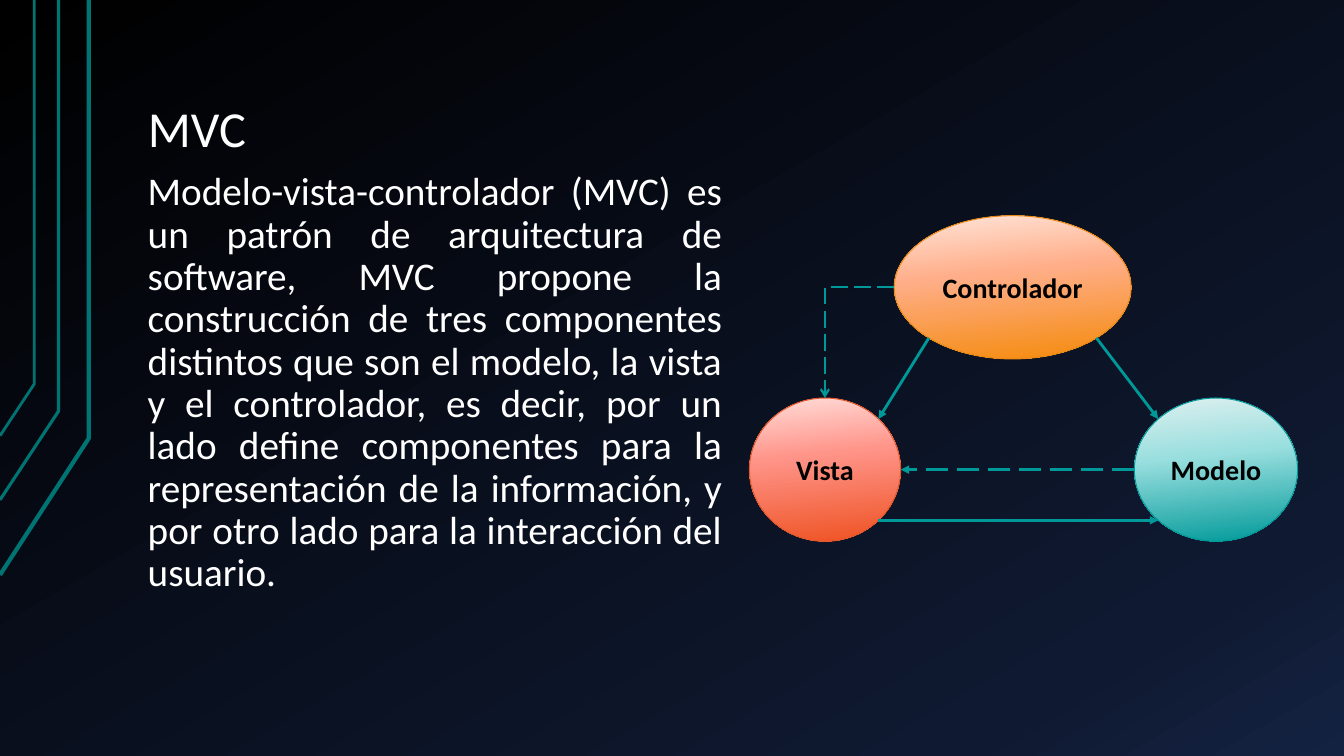
"""Build the MVC pattern slide: an explanation beside a three-part diagram."""
from dataclasses import dataclass
from math import cos, radians, sin
from typing import Optional

from lxml.etree import SubElement
from pptx import Presentation
from pptx.dml.color import RGBColor
from pptx.enum.dml import MSO_LINE
from pptx.enum.shapes import MSO_CONNECTOR, MSO_SHAPE
from pptx.enum.text import MSO_ANCHOR, PP_ALIGN
from pptx.oxml.ns import qn
from pptx.util import Inches, Pt

W, H = Inches(13.33), Inches(7.5)
FONT = "Calibri"
COLORS = {
    "text": "FFFFFF", "label": "000000", "rail": "007373", "arrow": "009999",
    "orange": "E98915", "red": "E5572B", "teal": "009999",
}
GRADIENTS = {
    "background": {0: "000000", 85: "0F1931", 100: "142242"},
    "orange": {0: "FFE5DA", 40: "FFAE89", 100: "F48A0A"},
    "red": {0: "FFDDD9", 40: "FF9489", 100: "EE5222"},
    "teal": {0: "DEEFEF", 40: "9ADFDF", 100: "009999"},
}


@dataclass
class Box:
    """A rectangle in percent of the slide's width and height."""
    x: float
    y: float
    w: float
    h: float

    def emu(self) -> tuple:
        return px(self.x), py(self.y), px(self.w), py(self.h)

    def site(self, angle: int) -> tuple:
        """Return the ellipse point at a clockwise angle from the right."""
        a = radians(angle)
        return (px(self.x + self.w / 2 * (1 + cos(a))),
                py(self.y + self.h / 2 * (1 + sin(a))))


@dataclass
class Rail:
    corner: tuple
    foot: float
    width: float


@dataclass
class Text:
    box: Box
    words: str
    size: int
    anchor: MSO_ANCHOR
    align: PP_ALIGN


@dataclass
class Node:
    box: Box
    color: str


@dataclass
class Arrow:
    start: str
    start_angle: int
    end: str
    end_angle: int
    width: float = 2
    dash: Optional[MSO_LINE] = None
    head: str = "triangle"
    bent: bool = False


RAILS = [
    Rail((6.6, 58), 76.05, 3),
    Rail((4.35, 54.4), 66.13, 2.25),
    Rail((2.55, 50.8), 57.65, 2),
]
TEXTS = [
    Text(Box(10.02, 4, 85, 17.85), "MVC", 36, MSO_ANCHOR.BOTTOM, PP_ALIGN.LEFT),
    Text(Box(10.02, 21.82, 44.68, 58.53),
         "Modelo-vista-controlador (MVC) es un patrón de arquitectura de "
         "software, MVC propone la construcción de tres componentes distintos "
         "que son el modelo, la vista y el controlador, es decir, por un lado "
         "define componentes para la representación de la información, y por "
         "otro lado para la interacción del usuario.",
         28, MSO_ANCHOR.TOP, PP_ALIGN.JUSTIFY),
]
NODES = {
    "Controlador": Node(Box(66.53, 28.53, 17.63, 18.95), "orange"),
    "Vista": Node(Box(55.76, 52.65, 11.25, 18.95), "red"),
    "Modelo": Node(Box(84.4, 52.65, 12.15, 18.95), "teal"),
}
ARROWS = [
    Arrow("Controlador", 135, "Vista", 315),
    Arrow("Controlador", 45, "Modelo", 225),
    Arrow("Vista", 45, "Modelo", 135),
    Arrow("Controlador", 180, "Vista", 270, 1.5, MSO_LINE.LONG_DASH, "arrow", True),
    Arrow("Modelo", 180, "Vista", 0, dash=MSO_LINE.LONG_DASH),
]


def px(share: float) -> int:
    return round(W * share / 100)


def py(share: float) -> int:
    return round(H * share / 100)


def rgb(name: str) -> RGBColor:
    return RGBColor.from_string(COLORS[name])


def paint_gradient(fill, element, name: str, angle: int) -> None:
    fill.gradient()
    grad = next(element.iter(qn("a:gradFill")))
    stops = grad.find(qn("a:gsLst"))
    for gs in list(stops):
        stops.remove(gs)
    for pos, color in GRADIENTS[name].items():
        gs = SubElement(stops, qn("a:gs"), pos=str(pos * 1000))
        SubElement(gs, qn("a:srgbClr"), val=color)
    grad.find(qn("a:lin")).set("ang", str(angle * 60000))


def style_line(line, color: str, width: float) -> None:
    line.color.rgb = rgb(color)
    line.width = Pt(width)


def write(tf, words: str, size: int, color: str, anchor, align):
    tf.word_wrap = True
    tf.vertical_anchor = anchor
    p = tf.paragraphs[0]
    p.text = words
    p.alignment = align
    p.font.name = FONT
    p.font.size = Pt(size)
    p.font.color.rgb = rgb(color)
    return p


def draw_rail(s, rail: Rail) -> None:
    x, y = rail.corner
    fb = s.shapes.build_freeform(0, py(rail.foot))
    fb.add_line_segments([(px(x), py(y)), (px(x), 0)], close=False)
    sp = fb.convert_to_shape()
    sp.shadow.inherit = False
    sp.fill.background()
    style_line(sp.line, "rail", rail.width)


def draw_text(s, text: Text) -> None:
    tf = s.shapes.add_textbox(*text.box.emu()).text_frame
    tf.margin_left = tf.margin_right = Inches(0.13)
    tf.margin_top = tf.margin_bottom = Inches(0.07)
    p = write(tf, text.words, text.size, "text", text.anchor, text.align)
    p.line_spacing = 0.9


def draw_node(s, label: str, node: Node) -> None:
    sp = s.shapes.add_shape(MSO_SHAPE.FLOWCHART_CONNECTOR, *node.box.emu())
    sp.shadow.inherit = False
    paint_gradient(sp.fill, sp._element, node.color, 84)
    style_line(sp.line, node.color, 0.75)
    p = write(sp.text_frame, label, 20, "label", MSO_ANCHOR.MIDDLE, PP_ALIGN.CENTER)
    p.font.bold = True


def draw_arrow(s, arrow: Arrow) -> None:
    kind = MSO_CONNECTOR.ELBOW if arrow.bent else MSO_CONNECTOR.STRAIGHT
    start = NODES[arrow.start].box.site(arrow.start_angle)
    end = NODES[arrow.end].box.site(arrow.end_angle)
    c = s.shapes.add_connector(kind, *start, *end)
    style_line(c.line, "arrow", arrow.width)
    if arrow.dash:
        c.line.dash_style = arrow.dash
    sp_pr = c._element.spPr
    if arrow.bent:
        sp_pr.find(qn("a:prstGeom")).set("prst", "bentConnector2")
    SubElement(sp_pr.find(qn("a:ln")), qn("a:tailEnd"), type=arrow.head)
    SubElement(sp_pr, qn("a:effectLst"))


def main() -> None:
    prs = Presentation()
    prs.slide_width, prs.slide_height = W, H
    s = prs.slides.add_slide(prs.slide_layouts[6])
    paint_gradient(s.background.fill, s._element, "background", 60)
    for rail in RAILS:
        draw_rail(s, rail)
    for text in TEXTS:
        draw_text(s, text)
    for label, node in NODES.items():
        draw_node(s, label, node)
    for arrow in ARROWS:
        draw_arrow(s, arrow)
    prs.save("out.pptx")


if __name__ == "__main__":
    main()
